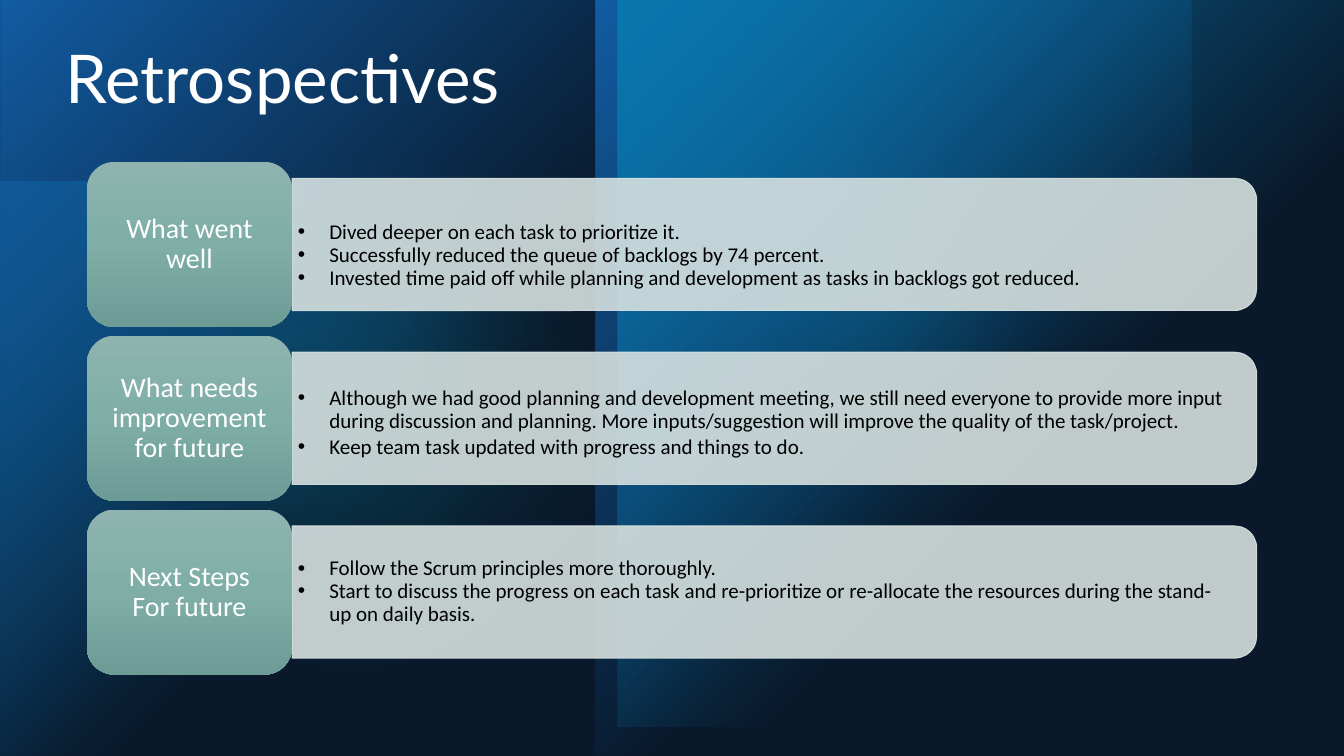
from dataclasses import dataclass
from typing import Any

from lxml.etree import SubElement
from pptx import Presentation
from pptx.dml.color import RGBColor
from pptx.enum.shapes import MSO_SHAPE
from pptx.enum.text import MSO_ANCHOR, PP_ALIGN
from pptx.oxml.ns import qn
from pptx.util import Cm, Pt

SLIDE_WIDTH, SLIDE_HEIGHT = 33.87, 19.05
LABEL_LEFT, LABEL_TOP, LABEL_WIDTH, LABEL_HEIGHT = 2.19, 4.08, 5.17, 4.16
PANEL_LEFT, PANEL_WIDTH, PANEL_HEIGHT = 7.36, 24.31, 3.33
ROW_PITCH = 4.38
POINTS_WIDTH, POINTS_HEIGHT = 23.88, 3.02

LABEL_FRAME = {
    "word_wrap": True, "vertical_anchor": MSO_ANCHOR.MIDDLE,
    "margin_left": Cm(0.41), "margin_right": Cm(0.41),
    "margin_top": Cm(0.3), "margin_bottom": Cm(0.3),
}
POINTS_FRAME = {
    "word_wrap": True, "vertical_anchor": MSO_ANCHOR.MIDDLE,
    "margin_left": Cm(0.15), "margin_right": Cm(0.15),
    "margin_top": Cm(0.08), "margin_bottom": Cm(0.08),
}
TITLE_FRAME = {"word_wrap": True, "vertical_anchor": MSO_ANCHOR.TOP}
LABEL_FONT = {"name": "Calibri", "size": Pt(20)}
POINTS_FONT = {"name": "Calibri", "size": Pt(15)}
TITLE_FONT = {"name": "Lato", "size": Pt(48)}


@dataclass(frozen=True)
class Stop:
    position: int
    colour: str
    opacity: int = 100


@dataclass(frozen=True)
class Glow:
    left: float
    top: float
    width: float
    height: float
    stops: tuple[Stop, ...]
    preset: MSO_SHAPE = MSO_SHAPE.RECTANGLE
    rotation: int = 0
    flips: str = "V"
    soft: bool = False


@dataclass(frozen=True)
class Topic:
    label: tuple[str, ...]
    points: tuple[str, ...]
    drop: float
    gap: float = 0


def fade(colour: str, opacity: int = 100) -> tuple[Stop, ...]:
    return Stop(0, colour, opacity), Stop(60, colour, 0)


GLOWS = (
    Glow(0, 4.57, 14.5, 14.5, fade("009DD9", 60)),
    Glow(15.98, 1.09, 12, 12, (Stop(0, "0BD0D9", 60),), MSO_SHAPE.OVAL, soft=True),
    Glow(0, 1.42, 17.63, 17.63, (Stop(0, "0BD0D9", 20),), MSO_SHAPE.OVAL, soft=True),
    Glow(0, 0, 15.01, SLIDE_HEIGHT, fade("0F6FC6"), rotation=180),
    Glow(15.01, 0, 15.01, SLIDE_HEIGHT, fade("0F6FC6"), rotation=180, flips="HV"),
    Glow(15.57, 0, 18.3, 18.3, fade("009DD9"), rotation=180),
    Glow(0, 0, SLIDE_WIDTH, SLIDE_HEIGHT, (Stop(0, "17406D", 40),), flips=""),
)
LABEL_STOPS = (Stop(0, "8FB4AF"), Stop(50, "7EAEA6"), Stop(100, "6D9B95"))
PANEL_STOP = Stop(0, "D8E2E0", 89)

TOPICS = (
    Topic(("What went well",), (
        "Dived deeper on each task to prioritize it.",
        "Successfully reduced the queue of backlogs by 74 percent.",
        "Invested time paid off while planning and development as tasks in backlogs got reduced.",
    ), 0.44),
    Topic(("What needs improvement for future",), (
        "Although we had good planning and development meeting, we still need everyone to provide "
        "more input during discussion and planning. More inputs/suggestion will improve the quality "
        "of the task/project.",
        "Keep team task updated with progress and things to do.",
    ), 0.28, 2.2),
    Topic(("Next Steps", "For future"), (
        "Follow the Scrum principles more thoroughly.",
        "Start to discuss the progress on each task and re-prioritize or re-allocate the resources "
        "during the stand-up on daily basis.",
    ), 0.15),
)


def rgb(colour: str) -> RGBColor:
    return RGBColor.from_string(colour)


def apply_format(target: Any, values: dict[str, Any]) -> None:
    for name, value in values.items():
        setattr(target, name, value)


def add_colour(parent: Any, stop: Stop) -> None:
    node = SubElement(parent, qn("a:srgbClr"), val=str(rgb(stop.colour)))
    if stop.opacity < 100:
        SubElement(node, qn("a:alpha"), val=str(stop.opacity * 1000))


def add_fill(parent: Any, stops: tuple[Stop, ...], linear: bool = False) -> None:
    if len(stops) == 1:
        add_colour(SubElement(parent, qn("a:solidFill")), stops[0])
        return
    gradient = SubElement(parent, qn("a:gradFill"), flip="none", rotWithShape="1")
    stop_list = SubElement(gradient, qn("a:gsLst"))
    for stop in stops:
        add_colour(SubElement(stop_list, qn("a:gs"), pos=str(stop.position * 1000)), stop)
    if linear:
        SubElement(gradient, qn("a:lin"), ang="5400000", scaled="0")
    else:
        circle = SubElement(gradient, qn("a:path"), {"path": "circle"})
        SubElement(circle, qn("a:fillToRect"), r="100000", b="100000")


def add_filled(slide: Any, preset: MSO_SHAPE, box: tuple[float, ...],
               stops: tuple[Stop, ...], linear: bool = False) -> Any:
    shape = slide.shapes.add_shape(preset, *map(Cm, box))
    add_fill(shape.element.spPr, stops, linear)
    shape.line.fill.background()
    shape.shadow.inherit = False
    return shape


def add_glow(slide: Any, glow: Glow) -> None:
    box = glow.left, glow.top, glow.width, glow.height
    shape = add_filled(slide, glow.preset, box, glow.stops)
    shape.rotation = glow.rotation
    for axis in glow.flips:
        shape.element.spPr.xfrm.set(f"flip{axis}", "1")
    if glow.soft:
        effects = shape.element.spPr.find(qn("a:effectLst"))
        SubElement(effects, qn("a:softEdge"), rad="1270000")


def write(frame: Any, texts: tuple[str, ...], font: dict[str, Any], colour: str,
          align: PP_ALIGN, bulleted: bool = False, gap: float = 0) -> None:
    for index, text in enumerate(texts):
        paragraph = frame.paragraphs[0] if index == 0 else frame.add_paragraph()
        if bulleted:
            properties = paragraph._p.get_or_add_pPr()
            properties.set("marL", str(Cm(0.79)))
            properties.set("indent", str(-Cm(0.79)))
            add_colour(SubElement(properties, qn("a:buClr")), Stop(0, colour))
            SubElement(properties, qn("a:buFont"), typeface="Arial")
            SubElement(properties, qn("a:buChar"), char="•")
        apply_format(paragraph, {"alignment": align, "line_spacing": 0.9,
                                 "space_before": Pt(gap if index else 0)})
        run = paragraph.add_run()
        run.text = text
        apply_format(run.font, font)
        run.font.color.rgb = rgb(colour)


def add_topic(slide: Any, topic: Topic, row: int) -> None:
    label_top = LABEL_TOP + row * ROW_PITCH
    panel_top = label_top + (LABEL_HEIGHT - PANEL_HEIGHT) / 2
    turn = (PANEL_WIDTH - PANEL_HEIGHT) / 2
    panel = add_filled(slide, MSO_SHAPE.ROUND_2_SAME_RECTANGLE,
                       (PANEL_LEFT + turn, panel_top - turn, PANEL_HEIGHT, PANEL_WIDTH),
                       (PANEL_STOP,))
    panel.rotation = 90
    panel.line.width = Pt(0.75)
    outline = panel.element.spPr.find(qn("a:ln"))
    outline.remove(outline.find(qn("a:noFill")))
    add_fill(outline, (PANEL_STOP,))

    points = slide.shapes.add_textbox(Cm(PANEL_LEFT), Cm(panel_top + topic.drop),
                                      Cm(POINTS_WIDTH), Cm(POINTS_HEIGHT)).text_frame
    apply_format(points, POINTS_FRAME)
    write(points, topic.points, POINTS_FONT, "000000", PP_ALIGN.LEFT, True, topic.gap)

    label = add_filled(slide, MSO_SHAPE.ROUNDED_RECTANGLE,
                       (LABEL_LEFT, label_top, LABEL_WIDTH, LABEL_HEIGHT), LABEL_STOPS, True)
    apply_format(label.text_frame, LABEL_FRAME)
    write(label.text_frame, topic.label, LABEL_FONT, "FFFFFF", PP_ALIGN.CENTER)


def main() -> None:
    deck = Presentation()
    apply_format(deck, {"slide_width": Cm(SLIDE_WIDTH), "slide_height": Cm(SLIDE_HEIGHT)})
    slide = deck.slides.add_slide(deck.slide_layouts[5])
    slide.background.fill.solid()
    slide.background.fill.fore_color.rgb = rgb("000000")
    for glow in GLOWS:
        add_glow(slide, glow)
    title = slide.shapes.title
    title.element.getparent().append(title.element)
    apply_format(title, {"left": Cm(1.4), "top": Cm(1.02), "width": Cm(30.84), "height": Cm(2.51)})
    apply_format(title.text_frame, TITLE_FRAME)
    write(title.text_frame, ("Retrospectives",), TITLE_FONT, "FFFFFF", PP_ALIGN.LEFT)
    for row, topic in enumerate(TOPICS):
        add_topic(slide, topic, row)
    deck.save("out.pptx")


if __name__ == "__main__":
    main()
